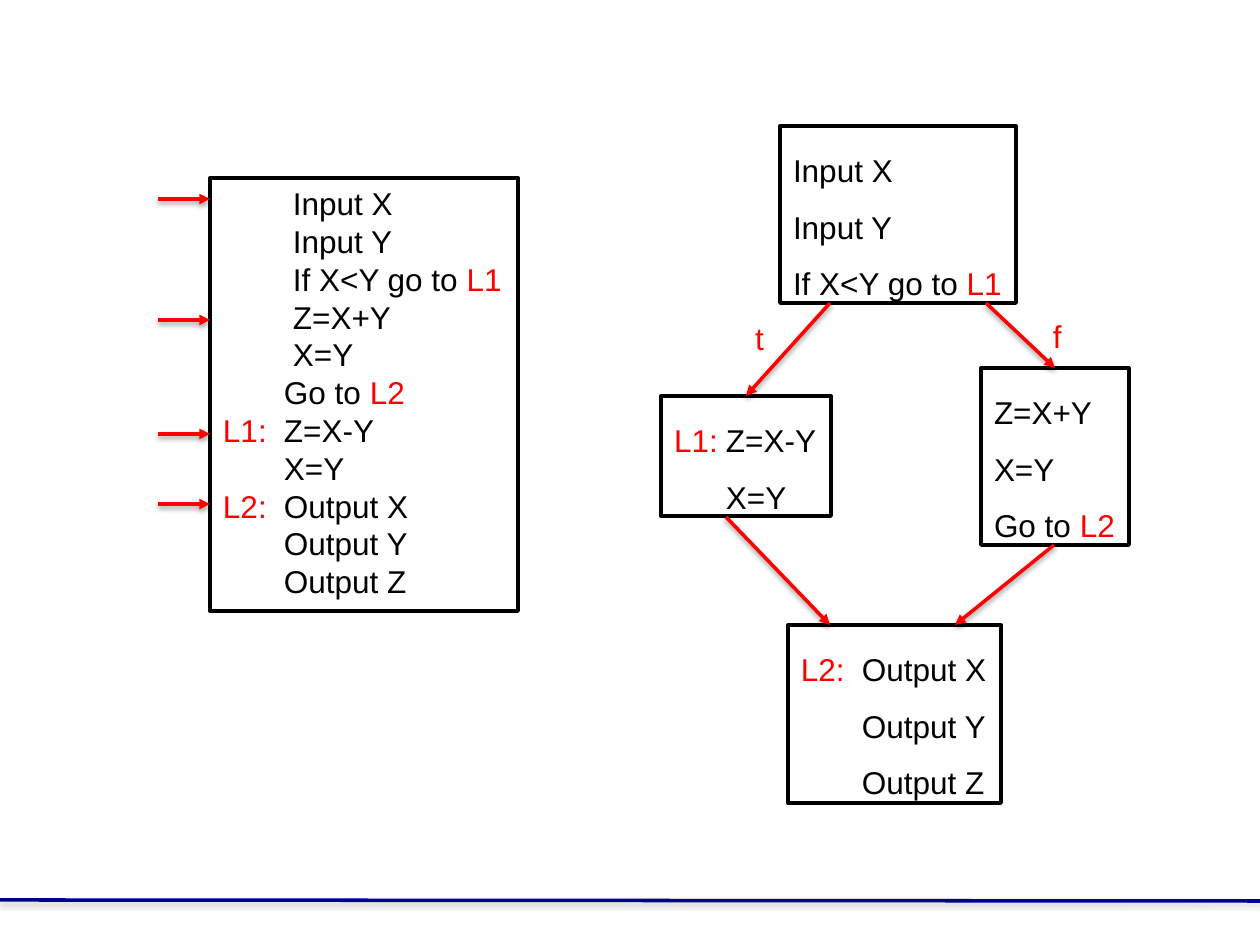
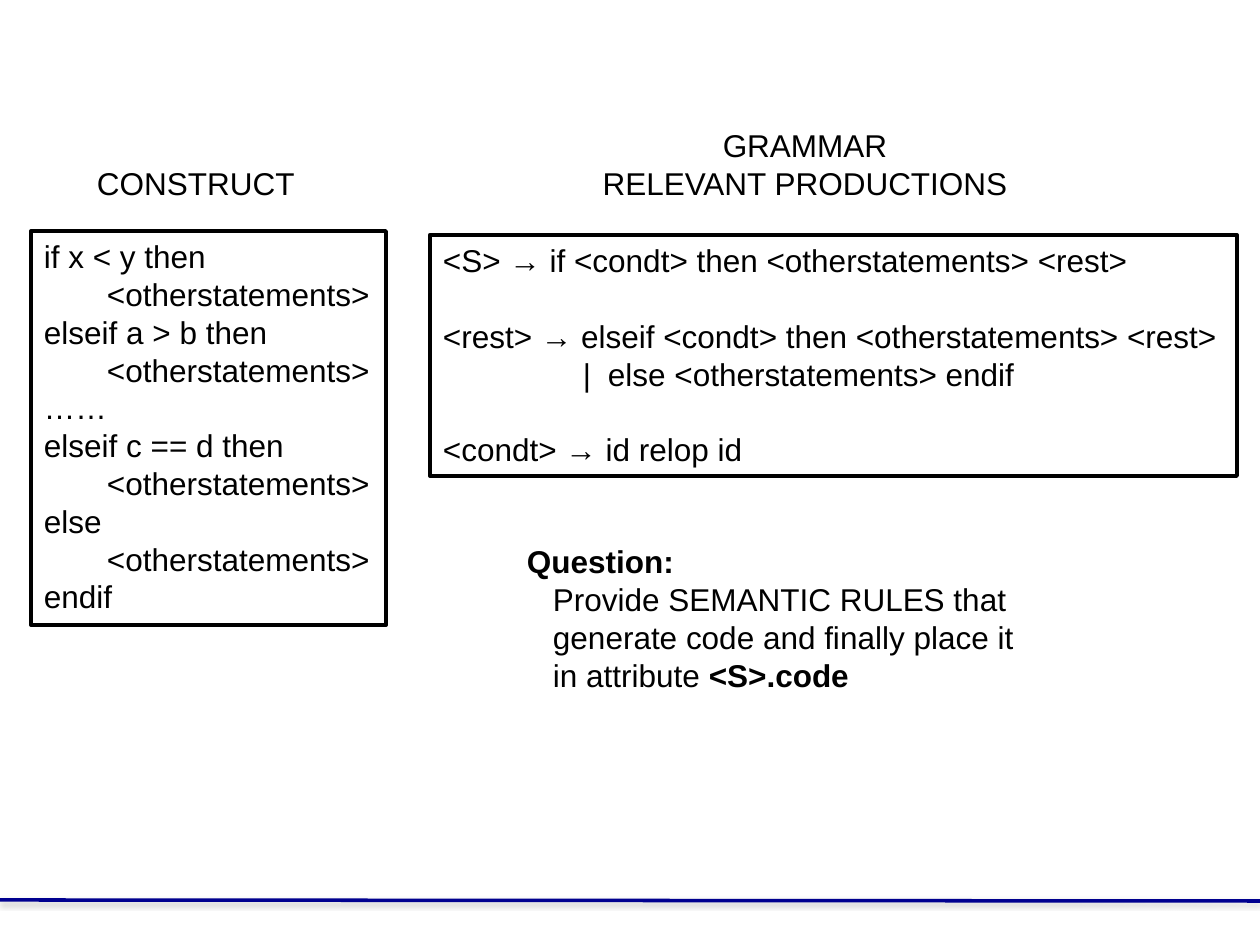
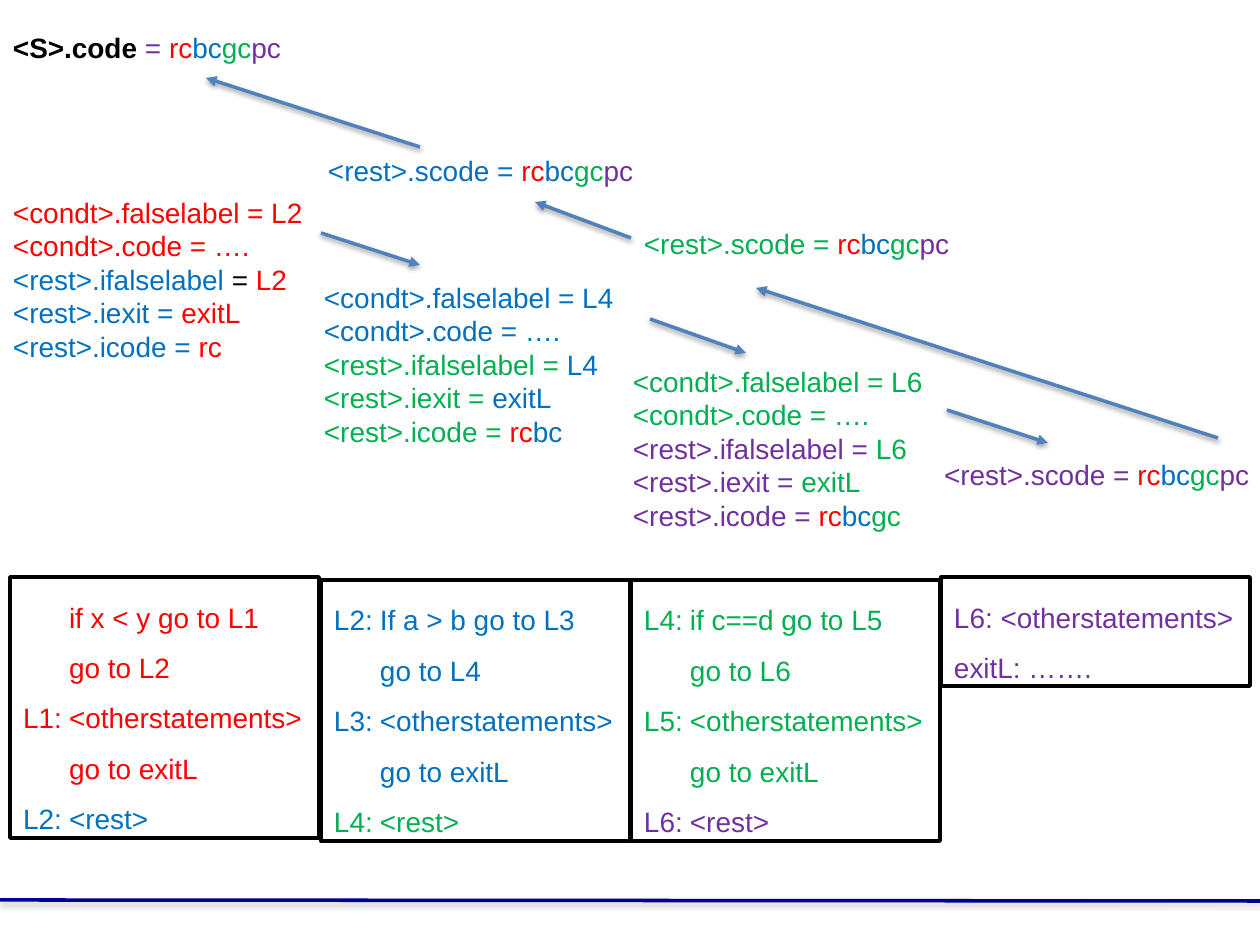
from lxml import etree
from pptx import Presentation
from pptx.dml.color import RGBColor
from pptx.enum.shapes import MSO_CONNECTOR, MSO_SHAPE
from pptx.enum.text import MSO_ANCHOR, PP_ALIGN
from pptx.oxml.ns import qn
from pptx.util import Emu, Pt

LINE = MSO_CONNECTOR.STRAIGHT
RECT = MSO_SHAPE.RECTANGLE
TOP = MSO_ANCHOR.TOP
LEFT, CENTER = PP_ALIGN.LEFT, PP_ALIGN.CENTER

BLACK = RGBColor(0x00, 0x00, 0x00)
RED = RGBColor(0xFF, 0x00, 0x00)
BLUE = RGBColor(0x00, 0x70, 0xC0)
GREEN = RGBColor(0x00, 0xB0, 0x50)
PURPLE = RGBColor(0x70, 0x30, 0xA0)
STEEL = RGBColor(0x4F, 0x81, 0xBD)
NAVY = RGBColor(0x00, 0x00, 0x90)

# "~" and a key letter start a run in that colour; "K" is bold black
INKS = {"k": BLACK, "K": BLACK, "r": RED, "b": BLUE, "g": GREEN, "p": PURPLE}
FONT = "Arial"
PAD = 13
ALL = "~rrc~bbc~ggc~ppc"


def px(n):
    return Emu(round(n * 914400 / 126))


def node(parent, tag, **attrs):
    return etree.SubElement(parent, qn(tag), {k: str(v) for k, v in attrs.items()})


def write(frame, text, size=18, lead=1, align=LEFT, tabs=(), gaps=()):
    """Fill a frame; gaps holds the numbers of lines with a free line above."""
    frame.word_wrap = True
    frame.vertical_anchor = TOP
    frame.margin_left = px(PAD)
    frame.margin_right = px(PAD if align == CENTER else 0)
    pitch = Pt(size * 1.2 * lead)
    for i, line in enumerate(text.split("\n")):
        para = frame.paragraphs[0] if i == 0 else frame.add_paragraph()
        para.alignment = align
        para.line_spacing = pitch
        if i in gaps:
            para.space_before = pitch
        if tabs:
            stops = node(para._p.get_or_add_pPr(), "a:tabLst")
            for stop in tabs:
                node(stops, "a:tab", pos=px(stop), algn="l")
        for part in ("k" + line).split("~"):
            if len(part) > 1:
                run = para.add_run()
                run.text = part[1:]
                run.font.name = FONT
                run.font.size = Pt(size)
                run.font.bold = part[0] == "K"
                run.font.color.rgb = INKS[part[0]]


class Deck:
    def __init__(self):
        self.prs = Presentation()
        self.prs.slide_width, self.prs.slide_height = px(1260), px(945)

    def page(self):
        self.slide = self.prs.slides.add_slide(self.prs.slide_layouts[6])
        self.line(0, 900, 1260, 901, NAVY, shade="808080")

    def line(self, x1, y1, x2, y2, color, shade="000000"):
        item = self.slide.shapes.add_connector(LINE, px(x1), px(y1), px(x2), px(y2))
        item.line.color.rgb = color
        item.line.width = Pt(2)
        glow = node(node(item._element.spPr, "a:effectLst"), "a:outerShdw",
                    blurRad=Pt(3.1), dist=Pt(1.6), dir=5400000, rotWithShape=0)
        node(node(glow, "a:srgbClr", val=shade), "a:alpha", val=38000)
        return item

    def arrow(self, x1, y1, x2, y2, color=RED):
        item = self.line(x1, y1, x2, y2, color)
        node(item.line._get_or_add_ln(), "a:tailEnd", type="triangle")

    def box(self, x, y, w, h, text, **form):
        item = self.slide.shapes.add_shape(RECT, px(x), px(y), px(w), px(h))
        item.shadow.inherit = False
        item.fill.background()
        item.line.color.rgb = BLACK
        item.line.width = Pt(2.25)
        write(item.text_frame, text, **form)

    def label(self, x, y, w, h, text, **form):
        item = self.slide.shapes.add_textbox(px(x), px(y), px(w), px(h))
        write(item.text_frame, text, **form)


def flow(deck):
    deck.page()
    # Code listing, with an arrow at each block's first line
    deck.box(210, 178, 308, 433,
             "\t\tInput X\n\t\tInput Y\n\t\tIf X<Y go to ~rL1\n\t\tZ=X+Y\n\t\tX=Y\n"
             "\tGo to ~rL2\n~rL1:~k\tZ=X-Y\n\tX=Y\n~rL2:~k\tOutput X\n"
             "\tOutput Y\n\tOutput Z", tabs=(61, 70))
    for y in (199, 320, 434, 504):
        deck.arrow(158, y, 210, y)

    # Flow graph
    deck.box(788, 625, 213, 178, "~rL2:~k\tOutput X\n\tOutput Y\n\tOutput Z",
             lead=1.5, tabs=(61,))
    deck.box(780, 126, 236, 177, "Input X\nInput Y\nIf X<Y go to ~rL1", lead=1.5)
    deck.box(661, 396, 170, 120, "~rL1:~k\tZ=X-Y\n\tX=Y", lead=1.5, tabs=(52,))
    deck.box(981, 368, 148, 177, "Z=X+Y\nX=Y\nGo to ~rL2", lead=1.5)
    for ends in ((830, 303, 746, 396), (986, 303, 1055, 368),
                 (1054, 545, 955, 625), (726, 517, 830, 625)):
        deck.arrow(*ends)
    deck.label(742, 313, 34, 50, "~rt")
    deck.label(1040, 311, 34, 50, "~rf")


def rules(deck):
    deck.page()
    # Construct
    other = "\n\t<otherstatements>\n"
    deck.label(84, 158, 226, 50, "CONSTRUCT")
    deck.box(31, 231, 355, 394,
             f"if x < y then{other}elseif a > b then{other}……\n"
             f"elseif c == d then{other}else{other}endif", tabs=(63,))
    # Grammar
    deck.label(588, 120, 434, 89, "GRAMMAR\nRELEVANT PRODUCTIONS", align=CENTER)
    deck.box(430, 235, 807, 241,
             "<S> → if <condt> then <otherstatements> <rest>\n"
             "<rest> → elseif <condt> then <otherstatements> <rest>\n"
             "\t|\telse <otherstatements> endif\n"
             "<condt> → id relop id", tabs=(140, 165), gaps=(1, 3))
    # Question
    deck.label(514, 536, 518, 165,
               "~KQuestion:\n\tProvide SEMANTIC RULES that\n"
               "\tgenerate code and finally place it\n"
               "\tin attribute ~K<S>.code", tabs=(26,))


def trace(deck):
    deck.page()
    # Generated code: own colour, next colour, place, labels, test
    other = "<otherstatements>"
    for own, nxt, x, y, head, yes, no, test in (
            ("r", "b", 10, 577, "", "L1", "L2", "if x < y"),
            ("b", "g", 321, 580, "L2:", "L3", "L4", "If a > b"),
            ("g", "p", 631, 580, "L4:", "L5", "L6", "if c==d")):
        deck.box(x, y, 309, 261,
                 f"~{own}{head}\t{test} go to {yes}\n~{own}\tgo to {no}\n"
                 f"~{own}{yes}:\t{other}\n~{own}\tgo to exitL\n~{nxt}{no}:\t<rest>",
                 size=16, lead=1.5, tabs=(46,))
    deck.box(941, 577, 309, 109, f"~pL6: {other}\n~pexitL: …….", size=16, lead=1.5)

    # Inherited attributes
    for own, nxt, x, y, no, equal, code in (
            ("r", "b", 0, 189, "L2", "~k= ", "~rrc"),
            ("b", "g", 311, 274, "L4", "= ", "~rrc~bbc"),
            ("g", "p", 620, 358, "L6", "= ", "~rrc~bbc~ggc")):
        deck.label(x, y, 322, 183,
                   f"~{own}<condt>.falselabel = {no}\n~{own}<condt>.code = ….\n"
                   f"~{nxt}<rest>.ifalselabel {equal}~{own}{no}\n"
                   f"~{nxt}<rest>.iexit = ~{own}exitL\n"
                   f"~{nxt}<rest>.icode = {code}", size=16)

    # Synthesized attributes
    for ink, x, y in (("p", 931, 451), ("g", 631, 220), ("b", 315, 147)):
        deck.label(x, y, 335, 47, f"~{ink}<rest>.scode = {ALL}", size=16)
    deck.label(0, 24, 296, 47, f"~K<S>.code ~p= {ALL}", size=16)

    # Passing down, then back up
    for ends in ((321, 233, 420, 265), (650, 319, 746, 353), (947, 410, 1048, 443),
                 (1218, 438, 756, 288), (631, 238, 535, 202), (420, 147, 206, 78)):
        deck.arrow(*ends, color=STEEL)


def main():
    deck = Deck()
    flow(deck)
    rules(deck)
    trace(deck)
    deck.prs.save("out.pptx")


if __name__ == "__main__":
    main()
